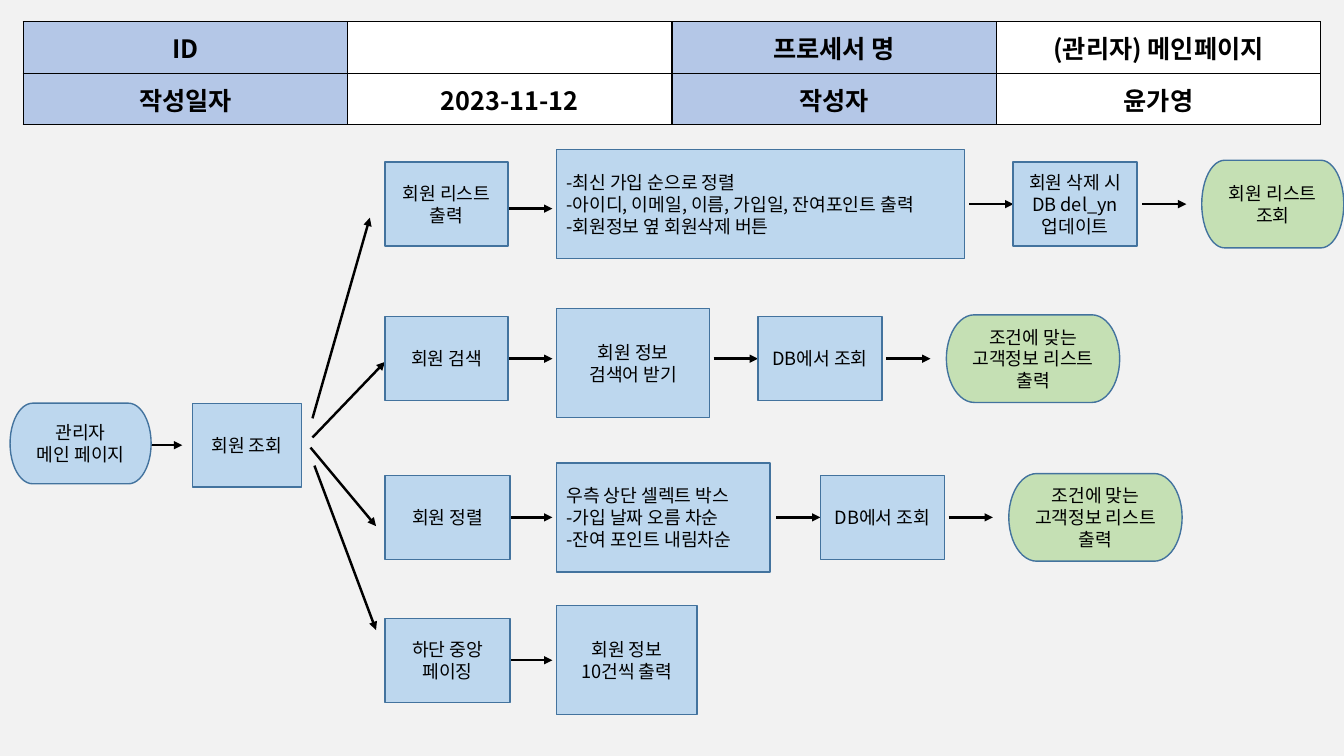
from dataclasses import dataclass

from lxml import etree
from pptx import Presentation
from pptx.dml.color import RGBColor
from pptx.enum.shapes import MSO_CONNECTOR, MSO_SHAPE
from pptx.enum.text import MSO_ANCHOR, PP_ALIGN
from pptx.oxml.ns import qn
from pptx.util import Pt

FONT = "Noto Sans CJK KR"
BLACK = RGBColor(0x00, 0x00, 0x00)
WHITE = RGBColor(0xFF, 0xFF, 0xFF)
BACKGROUND = RGBColor(0xF2, 0xF2, 0xF2)
HEADER_BLUE = RGBColor(0xB4, 0xC7, 0xE7)
BOX_BLUE = RGBColor(0xBD, 0xD7, 0xEE)
RESULT_GREEN = RGBColor(0xC5, 0xE0, 0xB4)
OUTLINE = RGBColor(0x43, 0x73, 0x9E)

# Centre lines of the four flows and of the entry point
LIST_Y, SEARCH_Y, SORT_Y, PAGING_Y = 145.8, 256.2, 369.6, 471.6
ENTRY_Y = 318
STEP_X, DETAIL_X = 275, 397.5
ARROW_LENGTH = 31.6


@dataclass(frozen=True)
class Kind:
    shape: MSO_SHAPE
    height: float
    fill: RGBColor = BOX_BLUE
    align: PP_ALIGN = PP_ALIGN.CENTER


START = Kind(MSO_SHAPE.FLOWCHART_TERMINATOR, 57.6)
STEP = Kind(MSO_SHAPE.RECTANGLE, 60)
DETAIL = Kind(MSO_SHAPE.RECTANGLE, 78)
NOTES = Kind(MSO_SHAPE.RECTANGLE, 78, align=PP_ALIGN.JUSTIFY)
RESULT = Kind(MSO_SHAPE.FLOWCHART_TERMINATOR, 62.6, RESULT_GREEN)


@dataclass(frozen=True)
class Node:
    kind: Kind
    left: float
    middle: float
    width: float
    lines: tuple[str, ...]


@dataclass(frozen=True)
class Arrow:
    x1: float
    y1: float
    x2: float
    y2: float


def flow_arrow(x: float, y: float) -> Arrow:
    return Arrow(x, y, x + ARROW_LENGTH, y)


FOUND_CUSTOMERS = ("조건에 맞는", "고객정보 리스트 출력")
NODES = [
    Node(START, 7.2, 316.8, 100.8, ("관리자", "메인 페이지")),
    Node(STEP, 137.4, ENTRY_Y, 78, ("회원 조회",)),
    # Member list
    Node(STEP, STEP_X, LIST_Y, 88, ("회원 리스트", "출력")),
    Node(NOTES, DETAIL_X, LIST_Y, 291.6,
         ("-최신 가입 순으로 정렬",
          "-아이디, 이메일, 이름, 가입일, 잔여포인트 출력",
          "-회원정보 옆 회원삭제 버튼")),
    Node(STEP, 723.6, LIST_Y, 88.6, ("회원 삭제 시", "DB del_yn 업데이트")),
    Node(RESULT, 858.4, LIST_Y, 101.5, ("회원 리스트", "조회")),
    # Member search
    Node(STEP, STEP_X, SEARCH_Y, 88, ("회원 검색",)),
    Node(DETAIL, DETAIL_X, SEARCH_Y + 3, 109.4, ("회원 정보", "검색어 받기")),
    Node(STEP, 541.4, SEARCH_Y, 88.6, ("DB에서 조회",)),
    Node(RESULT, 676, SEARCH_Y, 123.8, FOUND_CUSTOMERS),
    # Member sorting
    Node(STEP, STEP_X, SORT_Y, 89.3, ("회원 정렬",)),
    Node(NOTES, DETAIL_X, SORT_Y, 152.6,
         ("우측 상단 셀렉트 박스", "-가입 날짜 오름 차순", "-잔여 포인트 내림차순")),
    Node(STEP, 586, SORT_Y, 88.6, ("DB에서 조회",)),
    Node(RESULT, 720.6, SORT_Y, 123.8, FOUND_CUSTOMERS),
    # Paging
    Node(STEP, STEP_X, PAGING_Y, 89.3, ("하단 중앙", "페이징")),
    Node(DETAIL, DETAIL_X, PAGING_Y, 100.4, ("회원 정보", "10건씩 출력")),
]

ARROWS = [
    flow_arrow(98.6, ENTRY_Y),
    # Branches from the member lookup
    Arrow(223.2, 298.8, 264.2, 155.5),
    Arrow(223.2, 312.5, 275, 258.5),
    Arrow(221.8, 319.7, 268.6, 375.8),
    Arrow(224.6, 332.6, 268.6, 450),
    # From each step to its detail
    *(flow_arrow(363, y) for y in (149, SEARCH_Y, SORT_Y, PAGING_Y)),
    # Along each flow to its result
    *(flow_arrow(x, LIST_Y) for x in (692.3, 815.8)),
    *(flow_arrow(x, SEARCH_Y) for x in (509.8, 633)),
    *(flow_arrow(x, SORT_Y) for x in (554.4, 677.6)),
]

HEADER = [
    ("ID", "", "프로세서 명", "(관리자) 메인페이지"),
    ("작성일자", "2023-11-12", "작성자", "윤가영"),
]


def write_line(paragraph, text: str, size: float, align: PP_ALIGN, bold: bool = False) -> None:
    paragraph.alignment = align
    run = paragraph.add_run()
    run.text = text
    run.font.size = Pt(size)
    run.font.bold = bold
    run.font.name = FONT
    run.font.color.rgb = BLACK
    etree.SubElement(run.font._element, qn("a:ea"), typeface=FONT)


def add_node(slide, node: Node) -> None:
    kind = node.kind
    shape = slide.shapes.add_shape(
        kind.shape, Pt(node.left), Pt(node.middle - kind.height / 2),
        Pt(node.width), Pt(kind.height))
    shape.shadow.inherit = False
    shape.fill.solid()
    shape.fill.fore_color.rgb = kind.fill
    shape.line.color.rgb = OUTLINE
    shape.line.width = Pt(1)
    frame = shape.text_frame
    frame.word_wrap = True
    frame.vertical_anchor = MSO_ANCHOR.MIDDLE
    for index, text in enumerate(node.lines):
        paragraph = frame.add_paragraph() if index else frame.paragraphs[0]
        write_line(paragraph, text, 13, kind.align)


def add_arrow(slide, arrow: Arrow) -> None:
    connector = slide.shapes.add_connector(
        MSO_CONNECTOR.STRAIGHT, Pt(arrow.x1), Pt(arrow.y1), Pt(arrow.x2), Pt(arrow.y2))
    connector.line.color.rgb = BLACK
    connector.line.width = Pt(1.75)
    etree.SubElement(connector.line._get_or_add_ln(), qn("a:tailEnd"), type="triangle")
    etree.SubElement(connector._element.spPr, qn("a:effectLst"))


def add_borders(cell) -> None:
    properties = cell._tc.get_or_add_tcPr()
    for index, side in enumerate(("lnL", "lnR", "lnT", "lnB")):
        line = etree.Element(qn(f"a:{side}"), w=str(Pt(1)))
        fill = etree.SubElement(line, qn("a:solidFill"))
        etree.SubElement(fill, qn("a:srgbClr"), val=str(BLACK))
        properties.insert(index, line)


def add_header(slide) -> None:
    table = slide.shapes.add_table(
        len(HEADER), len(HEADER[0]), Pt(16.6), Pt(15.6), Pt(926.8), Pt(73.6)).table
    for row, texts in enumerate(HEADER):
        for column, text in enumerate(texts):
            cell = table.cell(row, column)
            cell.fill.solid()
            cell.fill.fore_color.rgb = WHITE if column % 2 else HEADER_BLUE
            cell.vertical_anchor = MSO_ANCHOR.MIDDLE
            add_borders(cell)
            if text:
                write_line(cell.text_frame.paragraphs[0], text, 18, PP_ALIGN.CENTER, bold=True)


presentation = Presentation()
presentation.slide_width, presentation.slide_height = Pt(960), Pt(540)
slide = presentation.slides.add_slide(presentation.slide_layouts[6])
slide.background.fill.solid()
slide.background.fill.fore_color.rgb = BACKGROUND

add_header(slide)
for arrow in ARROWS:
    add_arrow(slide, arrow)
for node in NODES:
    add_node(slide, node)

presentation.save("out.pptx")
